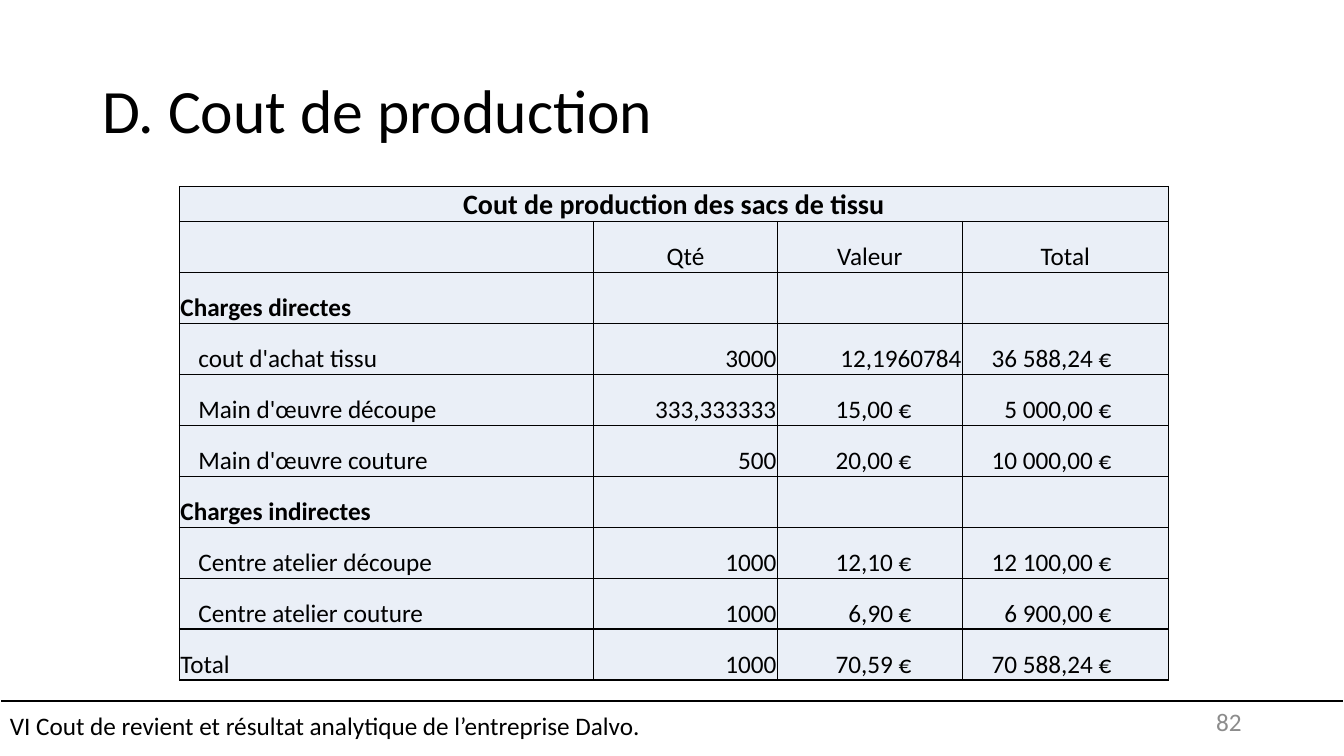
"""Build the production cost slide with its cost table."""
from lxml import etree
from pptx import Presentation
from pptx.dml.color import RGBColor
from pptx.enum.shapes import MSO_CONNECTOR, MSO_SHAPE
from pptx.enum.text import MSO_ANCHOR, PP_ALIGN
from pptx.oxml import parse_xml
from pptx.oxml.ns import nsdecls, qn
from pptx.util import Pt

LEFT, CENTER, RIGHT = PP_ALIGN.LEFT, PP_ALIGN.CENTER, PP_ALIGN.RIGHT
MIDDLE, BOTTOM = MSO_ANCHOR.MIDDLE, MSO_ANCHOR.BOTTOM
RECTANGLE, STRAIGHT = MSO_SHAPE.RECTANGLE, MSO_CONNECTOR.STRAIGHT
BLACK = RGBColor(0x00, 0x00, 0x00)
WHITE = RGBColor(0xFF, 0xFF, 0xFF)
GREY = RGBColor(0x8C, 0x8C, 0x8C)
PALE_BLUE = RGBColor(0xEA, 0xEF, 0xF7)

WIDTH, HEIGHT = 960, 540
COLUMN_WIDTHS = [296, 131, 132.3, 147]
CAPTION_HEIGHT, ROW_HEIGHT = 25, 36.4
CELL_INSET, ITEM_INDENT = 0.7, 13.5
EURO_INSETS = {2: 36.4, 3: 40.6}

CAPTION = "Cout de production des sacs de tissu"
HEADINGS = ["", "Qté", "Valeur", "Total"]
SECTIONS = ["Charges directes", "Charges indirectes"]
ROWS = [
    HEADINGS,
    [SECTIONS[0], "", "", ""],
    ["cout d'achat tissu", "3000", "12,1960784", "36 588,24 €"],
    ["Main d'œuvre découpe", "333,333333", "15,00 €", "5 000,00 €"],
    ["Main d'œuvre couture", "500", "20,00 €", "10 000,00 €"],
    [SECTIONS[1], "", "", ""],
    ["Centre atelier découpe", "1000", "12,10 €", "12 100,00 €"],
    ["Centre atelier couture", "1000", "6,90 €", "6 900,00 €"],
    ["Total", "1000", "70,59 €", "70 588,24 €"],
]


def write(tf, text, size=18, color=BLACK, bold=False, align=LEFT, spacing=None):
    """Put formatted text in the first paragraph of a text frame."""
    p = tf.paragraphs[0]
    p.alignment = align
    if spacing:
        p.line_spacing = spacing
    r = p.add_run()
    r.text = text
    r.font.name = "Calibri"
    r.font.size = Pt(size)
    r.font.bold = bold
    r.font.color.rgb = color


class SlideBuilder:
    """Draw elements on one slide in a shared style."""

    def __init__(self, slide):
        self.shapes = slide.shapes

    def line(self, x1, y1, x2, y2, width):
        """Draw a straight black line."""
        sp = self.shapes.add_connector(STRAIGHT, Pt(x1), Pt(y1), Pt(x2), Pt(y2))
        sp.line.color.rgb = BLACK
        sp.line.width = Pt(width)
        etree.SubElement(sp._element.spPr, qn("a:effectLst"))

    def text(self, x, y, w, h, text, **style):
        """Add a wrapped, vertically centred text box."""
        sp = self.shapes.add_textbox(Pt(x), Pt(y), Pt(w), Pt(h))
        sp.text_frame.word_wrap = True
        sp.text_frame.vertical_anchor = MIDDLE
        write(sp.text_frame, text, **style)

    def band(self, x, y, w, h, text):
        """Add an unfilled rectangle with a white outline."""
        sp = self.shapes.add_shape(RECTANGLE, Pt(x), Pt(y), Pt(w), Pt(h))
        sp.shadow.inherit = False
        sp.fill.background()
        sp.line.color.rgb = WHITE
        sp.line.width = Pt(1)
        sp.text_frame.vertical_anchor = MIDDLE
        write(sp.text_frame, text)

    def cell(self, cell, text="", left=CELL_INSET, right=CELL_INSET, **style):
        """Format one table cell and write its text."""
        tc_pr = cell._tc.get_or_add_tcPr()
        for side in "LRTB":
            tc_pr.append(parse_xml(
                f'<a:ln{side} {nsdecls("a")} w="12700"><a:solidFill>'
                f'<a:srgbClr val="{BLACK}"/></a:solidFill></a:ln{side}>'))
        cell.fill.solid()
        cell.fill.fore_color.rgb = PALE_BLUE
        cell.vertical_anchor = BOTTOM
        cell.margin_left, cell.margin_right = Pt(left), Pt(right)
        cell.margin_top, cell.margin_bottom = Pt(CELL_INSET), Pt(0)
        if text:
            write(cell.text_frame, text, **style)

    def cost_table(self, x, y):
        """Add the cost table with its caption row."""
        height = CAPTION_HEIGHT + ROW_HEIGHT * len(ROWS)
        table = self.shapes.add_table(
            len(ROWS) + 1, len(COLUMN_WIDTHS), Pt(x), Pt(y),
            Pt(sum(COLUMN_WIDTHS)), Pt(height)).table
        for column, width in zip(table.columns, COLUMN_WIDTHS):
            column.width = Pt(width)
        for row in table.rows:
            row.height = Pt(ROW_HEIGHT)
        table.rows[0].height = Pt(CAPTION_HEIGHT)
        table.cell(0, 0).merge(table.cell(0, len(COLUMN_WIDTHS) - 1))
        for j in range(len(COLUMN_WIDTHS)):
            self.cell(table.cell(0, j), "" if j else CAPTION,
                      size=20, bold=True, align=CENTER)
        for i, values in enumerate(ROWS, 1):
            for j, value in enumerate(values):
                style = {"align": RIGHT if j else LEFT}
                if values is HEADINGS:
                    style["align"] = CENTER
                elif value in SECTIONS:
                    style["bold"] = True
                elif j == 0 and value != "Total":
                    style["left"] = ITEM_INDENT
                elif value.endswith("€"):
                    style["right"] = EURO_INSETS[j]
                self.cell(table.cell(i, j), value, **style)


def main():
    """Create and save the presentation."""
    prs = Presentation()
    prs.slide_width, prs.slide_height = Pt(WIDTH), Pt(HEIGHT)
    s = SlideBuilder(prs.slides.add_slide(prs.slide_layouts[6]))
    s.line(0, 500.6, WIDTH, 500.6, 1.5)
    s.text(66, 28.8, 828, 104.4, "D. Cout de production", size=44, spacing=0.9)
    s.band(0, 497, WIDTH, 43,
           "VI Cout de revient et résultat analytique de l’entreprise Dalvo.")
    s.text(678, 500.6, 216, 28.8, "82", color=GREY, align=RIGHT)
    s.cost_table(128.2, 133.2)
    prs.save("out.pptx")


if __name__ == "__main__":
    main()
